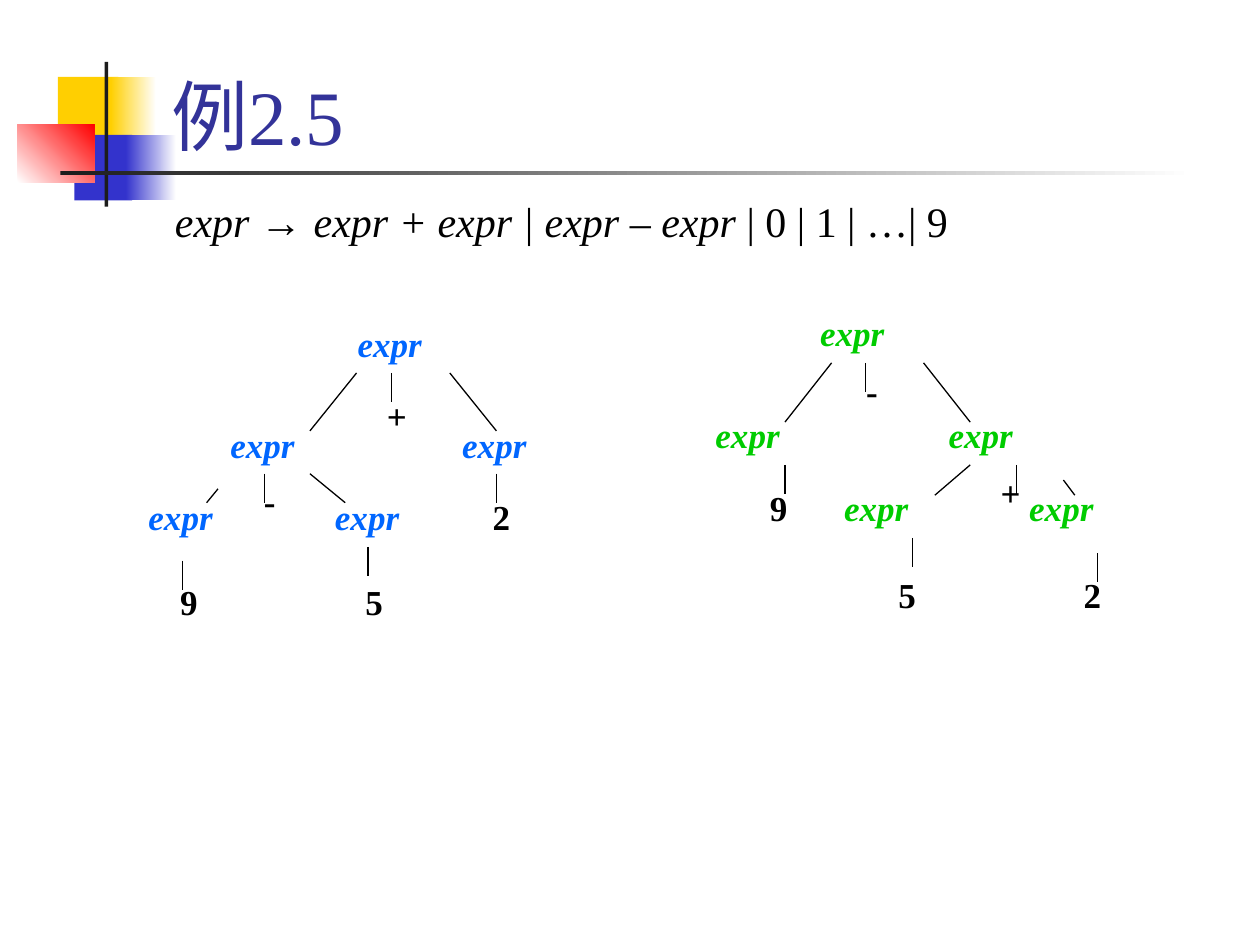
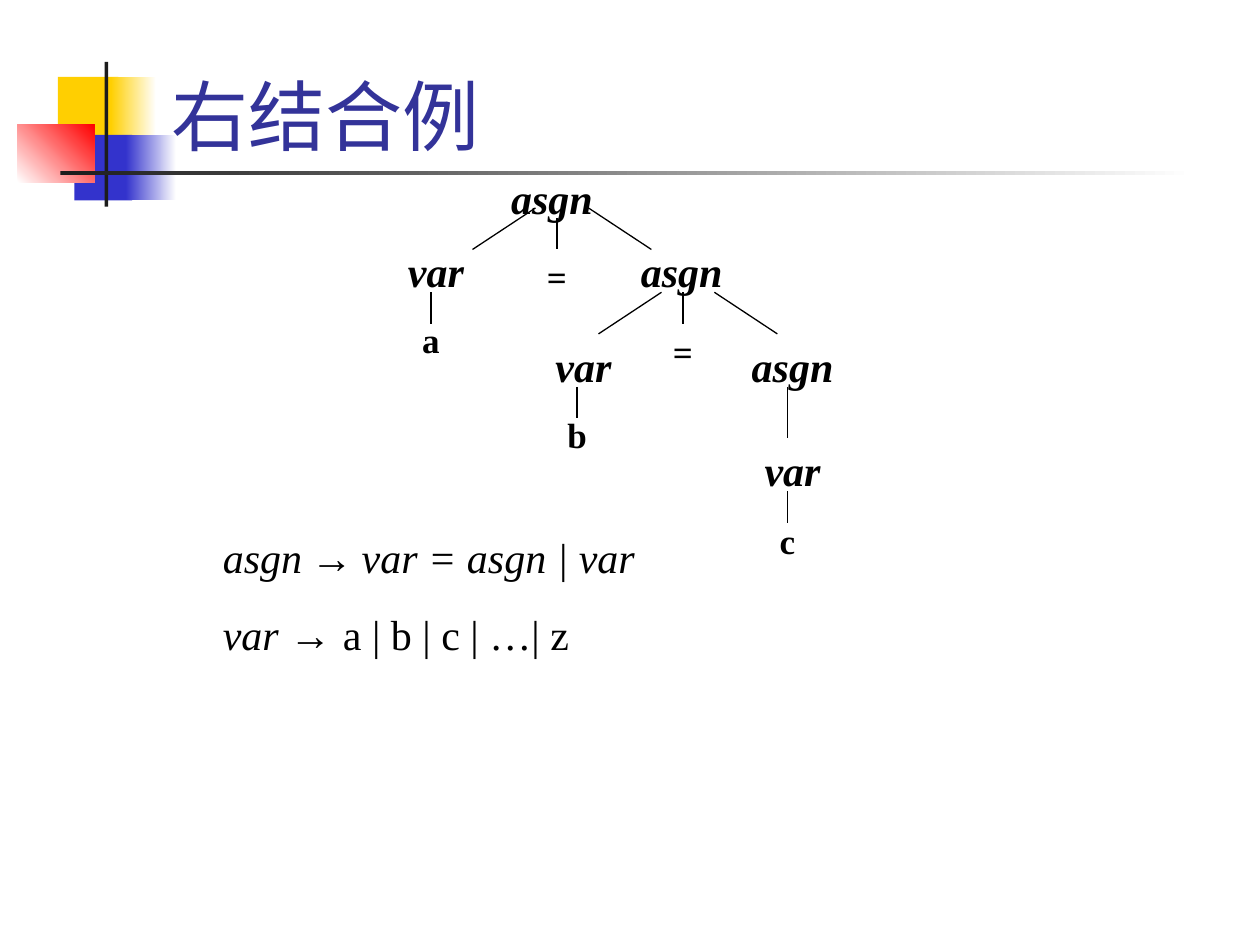
from dataclasses import dataclass
from typing import NamedTuple

from lxml.etree import SubElement
from pptx import Presentation
from pptx.dml.color import RGBColor
from pptx.enum.shapes import MSO_CONNECTOR, MSO_SHAPE
from pptx.enum.text import MSO_ANCHOR, MSO_AUTO_SIZE, PP_ALIGN
from pptx.oxml.ns import qn
from pptx.util import Inches, Pt

WHITE = RGBColor(0xFF, 0xFF, 0xFF)
BLACK = RGBColor(0, 0, 0)
CHARCOAL = RGBColor(0x1C, 0x1C, 0x1C)
YELLOW = RGBColor(0xFF, 0xCF, 0x01)
INDIGO = RGBColor(0x33, 0x33, 0xCC)
RED = RGBColor(0xFF, 0, 0)
TITLE_BLUE = RGBColor(0x33, 0x33, 0x99)
TREE_BLUE = RGBColor(0, 0x66, 0xFF)
TREE_GREEN = RGBColor(0, 0xCC, 0)

SERIF = "Times New Roman"
SANS = "Arial"


class Box(NamedTuple):
    left: float
    top: float
    width: float
    height: float


class Band(NamedTuple):
    box: Box
    start: RGBColor
    end: RGBColor | None = None
    angle: float = 0


class Run(NamedTuple):
    text: str
    italic: bool = False
    font: str = SERIF
    size: float | None = None


class Label(NamedTuple):
    text: str
    left: float
    top: float


class Line(NamedTuple):
    x1: float
    y1: float
    x2: float
    y2: float


@dataclass(frozen=True)
class LabelStyle:
    width: float
    height: float
    size: float
    color: RGBColor = BLACK
    italic: bool = False
    align: PP_ALIGN = PP_ALIGN.CENTER


@dataclass(frozen=True)
class Tree:
    symbol_style: LabelStyle
    token_style: LabelStyle
    symbols: list[Label]
    tokens: list[Label]
    stems: list[tuple[float, float]]
    stem_length: float
    branches: list[Line]


BANDS = [
    Band(Box(0.46, 0.61, 0.48, 0.52), YELLOW),
    Band(Box(0.88, 0.61, 0.36, 0.52), YELLOW, WHITE),
    Band(Box(0.59, 1.07, 0.46, 0.52), INDIGO),
    Band(Box(1, 1.07, 0.4, 0.52), INDIGO, WHITE),
    Band(Box(0.14, 0.99, 0.61, 0.46), WHITE, RED, 45),
    Band(Box(0.83, 0.49, 0.03, 1.15), CHARCOAL),
    Band(Box(0.48, 1.36, 9, 0.03), CHARCOAL, WHITE),
]
TITLE_BOX = Box(1.26, 0.08, 8.52, 1.25)
ARROW = Run("→ ", font=SANS)

EXPR_TOKEN = LabelStyle(0.46, 0.44, 20)
LEFT_TREE = Tree(
    symbol_style=LabelStyle(1.01, 0.44, 20, TREE_BLUE, True, PP_ALIGN.LEFT),
    token_style=EXPR_TOKEN,
    symbols=[Label("expr", x, y) for x, y in (
        (2.74, 2.51), (1.73, 3.31), (3.57, 3.31), (1.08, 3.88), (2.56, 3.88))],
    tokens=[Label("+", 2.92, 3.08), Label("-", 1.91, 3.76), Label("2", 3.75, 3.88),
            Label("9", 1.27, 4.56), Label("5", 2.74, 4.56)],
    stems=[(3.11, 2.96), (2.1, 3.76), (3.94, 3.76), (2.92, 4.34), (1.45, 4.45)],
    stem_length=0.23,
    branches=[Line(2.83, 2.96, 2.46, 3.42), Line(3.57, 2.96, 3.94, 3.42),
              Line(1.73, 3.88, 1.64, 3.99), Line(2.46, 3.76, 2.74, 3.99)],
)
RIGHT_TREE = Tree(
    symbol_style=LabelStyle(1.01, 0.44, 20, TREE_GREEN, True, PP_ALIGN.LEFT),
    token_style=EXPR_TOKEN,
    symbols=[Label("expr", x, y) for x, y in (
        (6.41, 2.42), (5.58, 3.23), (7.43, 3.23), (6.6, 3.81), (8.07, 3.81))],
    tokens=[Label("-", 6.69, 2.88), Label("+", 7.79, 3.69), Label("9", 5.95, 3.81),
            Label("5", 6.97, 4.5), Label("2", 8.44, 4.5)],
    stems=[(6.87, 2.88), (6.23, 3.69), (8.07, 3.69), (7.24, 4.27), (8.71, 4.39)],
    stem_length=0.23,
    branches=[Line(6.6, 2.88, 6.23, 3.35), Line(7.33, 2.88, 7.7, 3.35),
              Line(7.7, 3.69, 7.42, 3.93), Line(8.44, 3.81, 8.53, 3.93)],
)
ASSIGN_TREE = Tree(
    symbol_style=LabelStyle(0.92, 0.5, 24, italic=True),
    token_style=LabelStyle(0.5, 0.44, 20),
    symbols=[Label("asgn", 3.92, 1.32), Label("var", 3, 1.9), Label("asgn", 4.95, 1.9),
             Label("var", 4.17, 2.65), Label("asgn", 5.83, 2.65), Label("var", 5.83, 3.48)],
    tokens=[Label("=", 4.17, 1.98), Label("a", 3.17, 2.48), Label("=", 5.17, 2.57),
            Label("b", 4.33, 3.23), Label("c", 6, 4.07)],
    stems=[(4.42, 1.73), (3.42, 2.32), (5.42, 2.32), (4.58, 3.07), (6.25, 3.9)],
    stem_length=0.25,
    branches=[Line(4.25, 1.65, 3.75, 1.98), Line(4.67, 1.65, 5.17, 1.98),
              Line(5.25, 2.32, 4.75, 2.65), Line(5.67, 2.32, 6.17, 2.65),
              Line(6.25, 3.07, 6.25, 3.48)],
)


def inches(values) -> list[int]:
    return [Inches(v) for v in values]


def add_text(shapes, box: Box, paragraphs: list[list[Run]], *, size: float,
             color: RGBColor = BLACK, bold: bool = False,
             align: PP_ALIGN = PP_ALIGN.LEFT, anchor: MSO_ANCHOR = MSO_ANCHOR.TOP,
             space_before: float = 0, grow: bool = False) -> None:
    """Space before applies from the second paragraph on."""
    tf = shapes.add_textbox(*inches(box)).text_frame
    tf.word_wrap = True
    tf.vertical_anchor = anchor
    tf.auto_size = MSO_AUTO_SIZE.SHAPE_TO_FIT_TEXT if grow else MSO_AUTO_SIZE.NONE
    for i, runs in enumerate(paragraphs):
        p = tf.add_paragraph() if i else tf.paragraphs[0]
        p.alignment = align
        if i:
            p.space_before = Pt(space_before)
        for run in runs:
            r = p.add_run()
            r.text = run.text
            r.font.name = run.font
            r.font.size = Pt(run.size or size)
            r.font.bold = bold
            r.font.italic = run.italic
            r.font.color.rgb = color


def add_band(shapes, band: Band) -> None:
    sp = shapes.add_shape(MSO_SHAPE.RECTANGLE, *inches(band.box))
    sp.shadow.inherit = False
    sp.line.fill.background()
    if band.end is None:
        sp.fill.solid()
        sp.fill.fore_color.rgb = band.start
        return
    sp.fill.gradient()
    sp.fill.gradient_angle = band.angle
    for stop, color, position in zip(sp.fill.gradient_stops, (band.start, band.end), (0, 1)):
        stop.color.rgb = color
        stop.position = position


def add_line(shapes, line: Line) -> None:
    cxn = shapes.add_connector(MSO_CONNECTOR.STRAIGHT, *inches(line))
    cxn.line.color.rgb = BLACK
    cxn.line.width = Pt(0.75)
    SubElement(cxn._element.spPr, qn("a:effectLst"))


def add_labels(shapes, labels: list[Label], style: LabelStyle) -> None:
    for label in labels:
        box = Box(label.left, label.top, style.width, style.height)
        add_text(shapes, box, [[Run(label.text, style.italic)]], size=style.size,
                 color=style.color, bold=True, align=style.align, grow=True)


def add_tree(slide, tree: Tree) -> None:
    shapes = slide.shapes.add_group_shape().shapes
    add_labels(shapes, tree.symbols, tree.symbol_style)
    add_labels(shapes, tree.tokens, tree.token_style)
    for x, y in tree.stems:
        add_line(shapes, Line(x, y, x, y + tree.stem_length))
    for branch in tree.branches:
        add_line(shapes, branch)


def add_slide(prs, title: str):
    """Add a blank slide with the shared bands and title."""
    slide = prs.slides.add_slide(prs.slide_layouts[6])
    for band in BANDS:
        add_band(slide.shapes, band)
    add_text(slide.shapes, TITLE_BOX, [[Run(title)]], size=44, color=TITLE_BLUE,
             anchor=MSO_ANCHOR.BOTTOM)
    return slide


def build_ambiguity_slide(prs) -> None:
    slide = add_slide(prs, "例2.5")
    add_tree(slide, LEFT_TREE)
    add_tree(slide, RIGHT_TREE)
    grammar = [Run("expr ", True), ARROW, Run("expr + expr | expr – expr", True),
               Run(" | 0 | 1 | …| 9")]
    add_text(slide.shapes, Box(1.29, 1.5, 8.5, 5.17), [grammar], size=24)


def build_associativity_slide(prs) -> None:
    slide = add_slide(prs, "右结合例")
    add_tree(slide, ASSIGN_TREE)
    grammar = [
        [Run("asgn", True), Run(" ", size=20), Run("→", font=SANS), Run(" ", size=20),
         Run("var = asgn | var", True)],
        [Run("var ", True), ARROW, Run("a | b | c | …| z")],
    ]
    add_text(slide.shapes, Box(1.67, 4.17, 4.17, 1.11), grammar, size=24,
             space_before=15, grow=True)


def main() -> None:
    prs = Presentation()
    prs.slide_width, prs.slide_height = Inches(10), Inches(7.5)
    build_ambiguity_slide(prs)
    build_associativity_slide(prs)
    prs.save("out.pptx")


if __name__ == "__main__":
    main()
